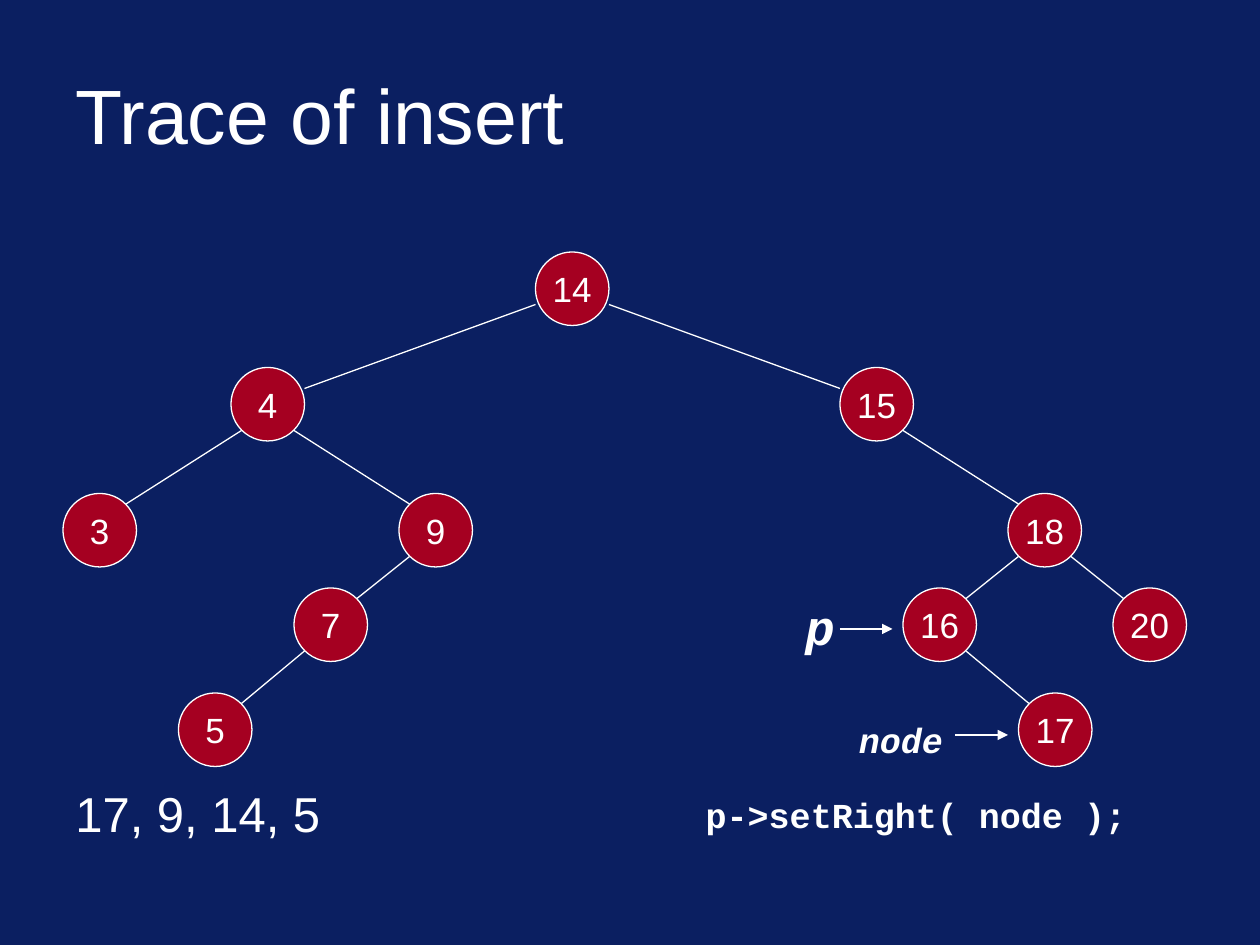
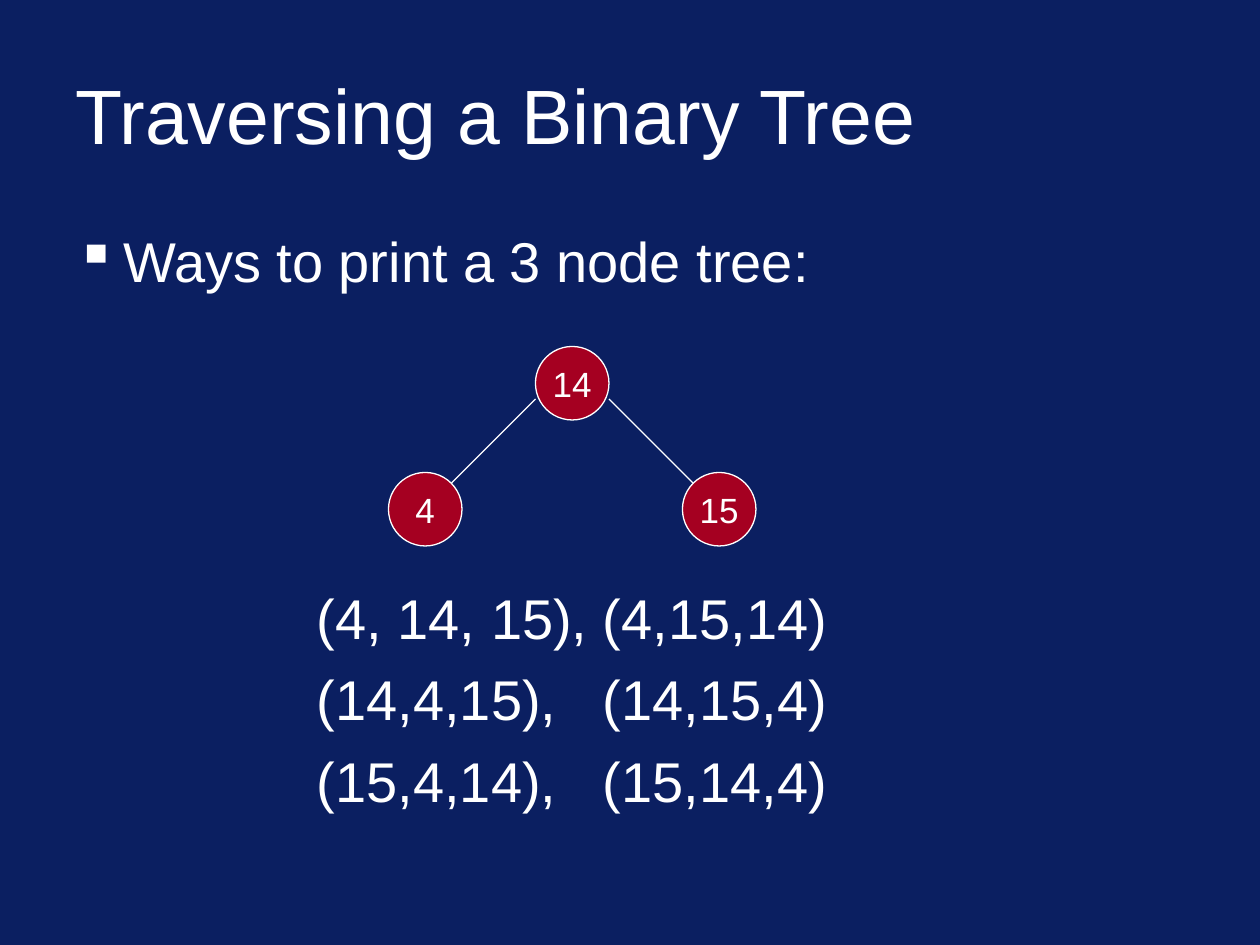
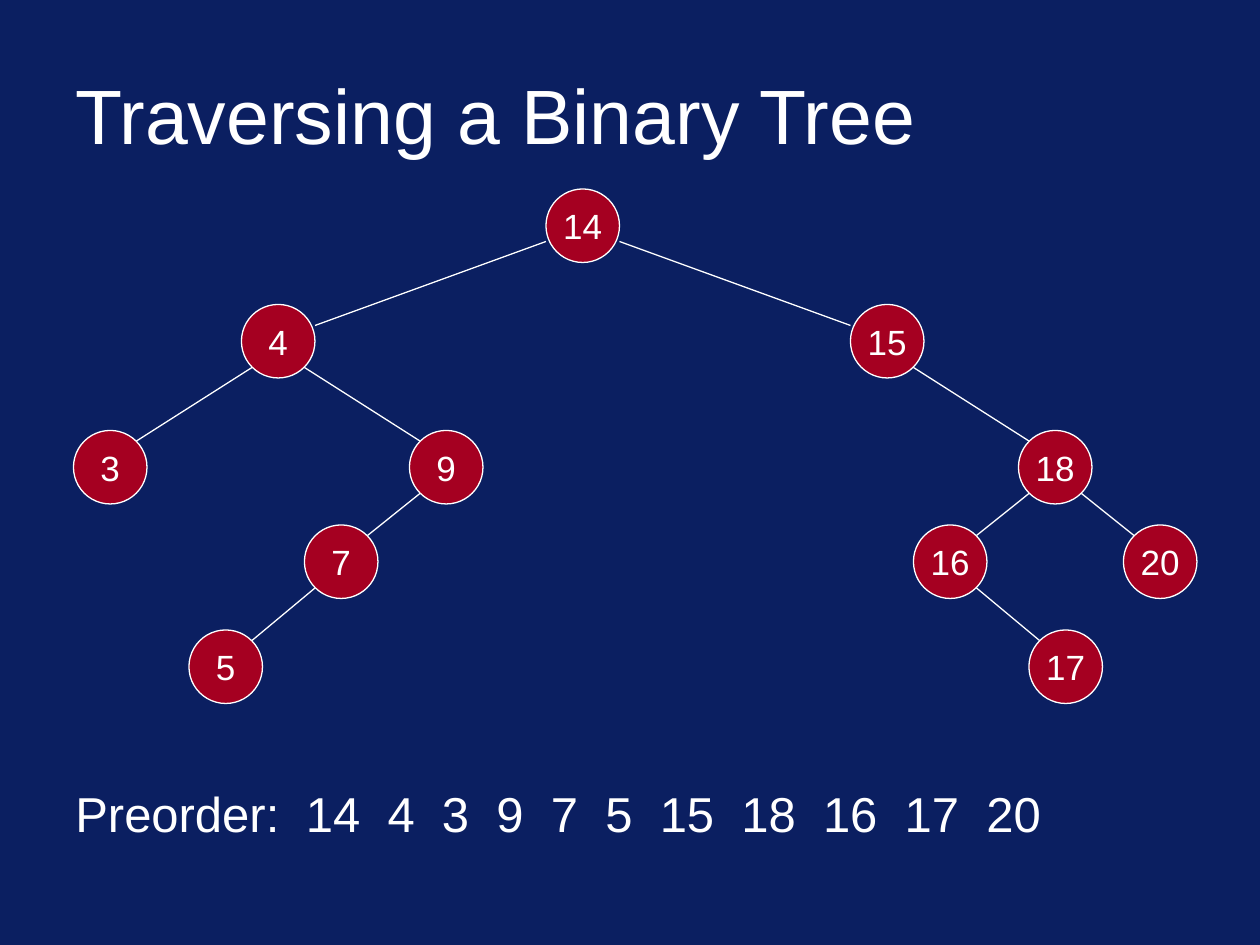
from itertools import accumulate

from lxml import etree
from pptx import Presentation
from pptx.dml.color import RGBColor
from pptx.enum.shapes import MSO_CONNECTOR, MSO_SHAPE
from pptx.enum.text import MSO_ANCHOR, PP_ALIGN
from pptx.oxml.ns import qn
from pptx.util import Inches, Pt

NAVY = RGBColor(0x0B, 0x1F, 0x61)
RED = RGBColor(0xA5, 0x00, 0x21)
WHITE = RGBColor(0xFF, 0xFF, 0xFF)
SANS, MONO = "Arial", "Courier New"
LEFT, CENTER = PP_ALIGN.LEFT, PP_ALIGN.CENTER
TOP, MIDDLE = MSO_ANCHOR.TOP, MSO_ANCHOR.MIDDLE
OVAL, LINE = MSO_SHAPE.OVAL, MSO_CONNECTOR.STRAIGHT

# The grid has 12 cells to the inch: 120 columns by 90 rows
CELL = Inches(1) / 12
COLS, ROWS = 120, 90
NODE = 7    # node diameter in cells
FAR = 20    # a child further off than this is met at its side

# Trees: value -> (column, row, parent), relative to the tree's box
FULL = {
    14: (45, 0, None),
    4: (16, 11, 14), 15: (74, 11, 14),
    3: (0, 23, 4), 9: (32, 23, 4), 18: (90, 23, 15),
    7: (22, 32, 9), 16: (80, 32, 18), 20: (100, 32, 18),
    5: (11, 42, 7), 17: (91, 42, 16),
}
SMALL = {14: (14, 0, None), 4: (0, 12, 14), 15: (28, 12, 14)}
ORDER = [14, 4, 3, 9, 7, 5, 15, 18, 16, 17, 20]


def grid(*cells):
    return [round(c * CELL) for c in cells]


def add_tabs(para, stops):
    tabs = etree.SubElement(para._p.get_or_add_pPr(), qn("a:tabLst"))
    for stop in stops:
        etree.SubElement(tabs, qn("a:tab"), pos=str(Inches(stop)), algn="l")


def add_mark(para):
    props = para._p.get_or_add_pPr()
    props.set("marL", str(Inches(0.38)))
    props.set("indent", str(-Inches(0.38)))
    etree.SubElement(props, qn("a:buChar"), char="▪")


def set_font(para, size, name=SANS, bold=False, slant=False):
    font = para.font
    font.size, font.name = Pt(size), name
    font.bold, font.italic = bold, slant
    font.color.rgb = WHITE


def add_text(slide, box, lines, size, name=SANS, bold=False, slant=False,
             align=LEFT, anchor=TOP, wrap=True, gap=0, stops=(), mark=False):
    frame = slide.shapes.add_textbox(*grid(*box)).text_frame
    frame.word_wrap, frame.vertical_anchor = wrap, anchor
    for i, line in enumerate(lines):
        para = frame.add_paragraph() if i else frame.paragraphs[0]
        para.text, para.alignment = line, align
        para.space_before = Pt(gap)
        if mark:
            add_mark(para)
        if stops:
            add_tabs(para, stops)
        set_font(para, size, name, bold, slant)


def add_code(slide, box, text, size=20, slant=False):
    add_text(slide, box, [text], size, MONO, True, slant, CENTER, wrap=False)


def add_line(slide, x1, y1, x2, y2, arrow=False):
    line = slide.shapes.add_connector(LINE, *grid(x1, y1, x2, y2))
    line.line.color.rgb, line.line.width = WHITE, Pt(0.75)
    if arrow:
        etree.SubElement(line.line._get_or_add_ln(), qn("a:tailEnd"),
                         type="triangle")
    etree.SubElement(line._element.spPr, qn("a:effectLst"))


def add_node(slide, x, y, value):
    node = slide.shapes.add_shape(OVAL, *grid(x, y, NODE, NODE))
    node.shadow.inherit = False
    node.fill.solid()
    node.fill.fore_color.rgb = RED
    node.line.color.rgb, node.line.width = WHITE, Pt(0.75)
    frame = node.text_frame
    frame.margin_left = frame.margin_right = 0
    frame.margin_top = frame.margin_bottom = 0
    frame.word_wrap, frame.vertical_anchor = False, MIDDLE
    para = frame.paragraphs[0]
    para.text, para.alignment = str(value), CENTER
    set_font(para, 20)


def add_edge(slide, left, top, head, child):
    (px, py, root), (cx, cy, _) = head, child
    # Inset from the node's side, and height at which the edge meets it
    out, drop = (0, 5) if root is None else (1, 6)
    into, rise = (0, 2) if abs(cx - px) > FAR else (1, 1)
    if cx > px:
        out = NODE - out
    else:
        into = NODE - into
    add_line(slide, left + px + out, top + py + drop,
             left + cx + into, top + cy + rise)


def add_tree(slide, left, top, tree):
    for value, spot in tree.items():
        x, y, head = spot
        add_node(slide, left + x, top + y, value)
        if head is not None:
            add_edge(slide, left, top, tree[head], spot)


def add_slide(prs, title):
    slide = prs.slides.add_slide(prs.slide_layouts[6])
    add_text(slide, (6, 4.8, 108, 12), [title], 44, anchor=MIDDLE)
    return slide


def add_foot(slide, text, stops=()):
    add_text(slide, (6, 74, 108, 9), [text], 28, gap=7, stops=stops)


def trace_slide(prs):
    slide = add_slide(prs, "Trace of insert")
    add_foot(slide, "17, 9, 14, 5")
    add_tree(slide, 6, 24, FULL)
    # Pointers and the call
    add_code(slide, (75.5, 56.2, 5.2, 6.8), "p", 28, True)
    add_line(slide, 80, 59.9, 85, 59.9, True)
    add_code(slide, (80.6, 67.8, 10.4, 5.3), "node", slant=True)
    add_line(slide, 91, 70, 96, 70, True)
    add_code(slide, (66, 75, 42.5, 5.3), "p->setRight( node );")


def ways_slide(prs):
    slide = add_slide(prs, "Traversing a Binary Tree")
    add_text(slide, (6, 21, 108, 12), ["Ways to print a 3 node tree:"], 32,
             gap=8, mark=True)
    add_tree(slide, 37, 33, SMALL)
    ways = ["(4, 14, 15), (4,15,14)",
            "(14,4,15),\t(14,15,4)",
            "(15,4,14),\t(15,14,4)"]
    add_text(slide, (29, 55, 68, 27), ways, 32, gap=8, stops=[2.27])


def order_slide(prs):
    slide = add_slide(prs, "Traversing a Binary Tree")
    # Each number takes its digits plus a gap one digit wide
    digit = 0.216
    steps = [(len(str(n)) + 1) * digit for n in ORDER[:-1]]
    stops = list(accumulate(steps, initial=1.83))
    add_foot(slide, "\t".join(["Preorder:", *map(str, ORDER)]), stops)
    add_tree(slide, 7, 18, FULL)


def main():
    prs = Presentation()
    prs.slide_width, prs.slide_height = grid(COLS, ROWS)
    back = prs.slide_master.background.fill
    back.solid()
    back.fore_color.rgb = NAVY
    trace_slide(prs)
    ways_slide(prs)
    order_slide(prs)
    prs.save("out.pptx")


if __name__ == "__main__":
    main()
